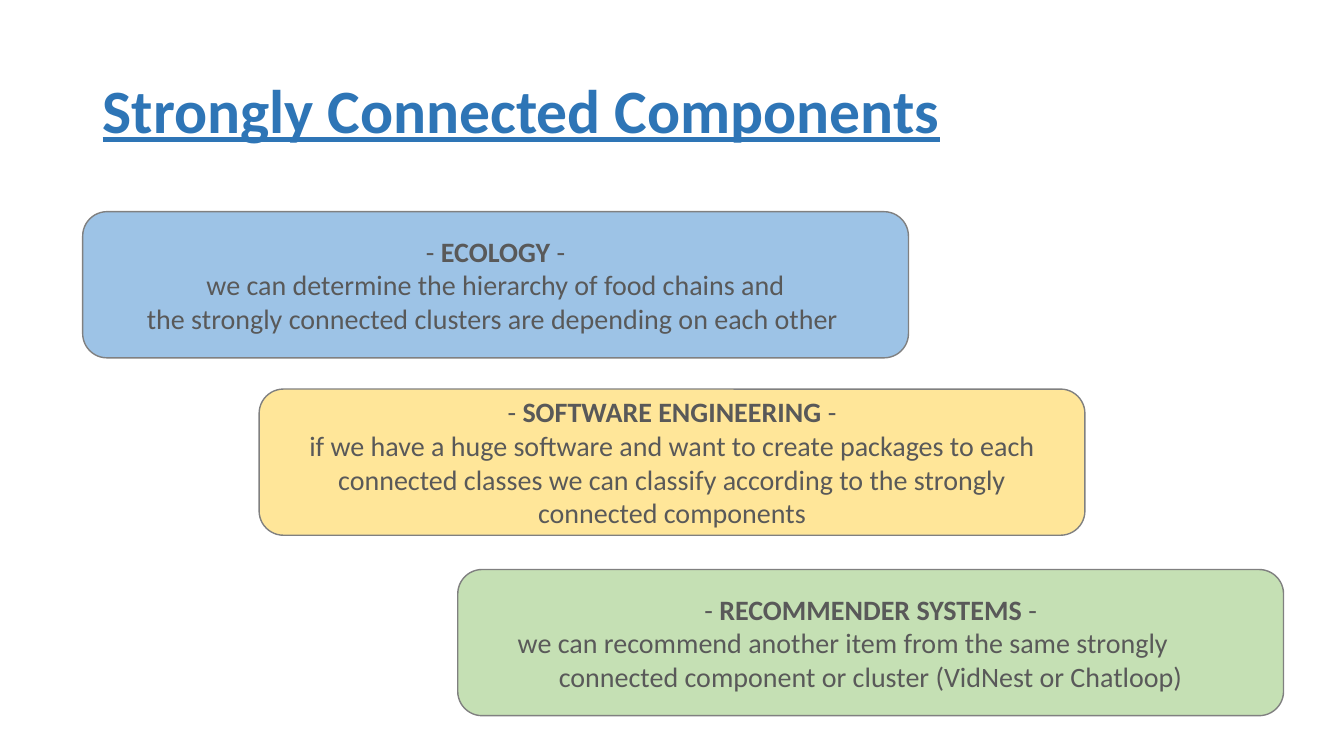
from pptx import Presentation
from pptx.dml.color import RGBColor
from pptx.enum.shapes import MSO_SHAPE as Shape
from pptx.enum.text import MSO_ANCHOR as Anchor, PP_ALIGN as Align
from pptx.util import Inches, Pt

FONT = "Calibri"
COLORS = {
    "title": "2E75B6",
    "text": "595959",
    "outline": "808080",
    "ecology": "9DC3E6",
    "software": "FFE699",
    "recommender": "C5E0B4",
}
CARD_WIDTH, CARD_HEIGHT = 8.19, 1.45

# left, top, fill, heading, body lines
APPLICATIONS = [
    (0.82, 2.1, "ecology", ("- ", "ECOLOGY", " -"),
     ["we can determine the hierarchy of food chains and",
      "the strongly connected clusters are depending on each other "]),
    (2.57, 3.86, "software", ("- ", "SOFTWARE ENGINEERING ", "-"),
     ["if we have a huge software and want to create packages to each "
      "connected classes we can classify according to the strongly "
      "connected components"]),
    (4.54, 5.65, "recommender", ("- ", "RECOMMENDER SYSTEMS ", "-"),
     ["we can recommend another item from the same strongly "
      "\tconnected component or cluster (VidNest or Chatloop)"]),
]


def color(name):
    return RGBColor.from_string(COLORS[name])


def set_font(font, size, color_name):
    font.name = FONT
    font.size = Pt(size)
    font.color.rgb = color(color_name)


def add_title(slide, left, top, width, height):
    title = slide.shapes.add_textbox(
        Inches(left), Inches(top), Inches(width), Inches(height))
    frame = title.text_frame
    frame.word_wrap = True
    frame.vertical_anchor = Anchor.MIDDLE
    heading = frame.paragraphs[0]
    heading.text = "Strongly Connected Components"
    heading.line_spacing = 0.9
    set_font(heading.font, 44, "title")
    heading.font.bold = True
    heading.font.underline = True


def add_application(slide, left, top, fill, heading_parts, body):
    card = slide.shapes.add_shape(
        Shape.ROUNDED_RECTANGLE, Inches(left), Inches(top),
        Inches(CARD_WIDTH), Inches(CARD_HEIGHT))
    card.shadow.inherit = False
    card.fill.solid()
    card.fill.fore_color.rgb = color(fill)
    card.line.color.rgb = color("outline")
    card.line.width = Pt(1)

    frame = card.text_frame
    frame.word_wrap = True
    frame.vertical_anchor = Anchor.MIDDLE

    # Heading: only the name between the dashes is bold
    heading = frame.paragraphs[0]
    for position, part in enumerate(heading_parts):
        run = heading.add_run()
        run.text = part
        if position == 1:
            run.font.bold = True

    for line in body:
        frame.add_paragraph().text = line
    for paragraph in frame.paragraphs:
        paragraph.alignment = Align.CENTER
        set_font(paragraph.font, 20, "text")


def main():
    deck = Presentation()
    deck.slide_width, deck.slide_height = Inches(13.33), Inches(7.5)
    slide = deck.slides.add_slide(deck.slide_layouts[6])
    add_title(slide, 0.92, 0.4, 11.5, 1.45)
    for application in APPLICATIONS:
        add_application(slide, *application)
    deck.save("out.pptx")


if __name__ == "__main__":
    main()
